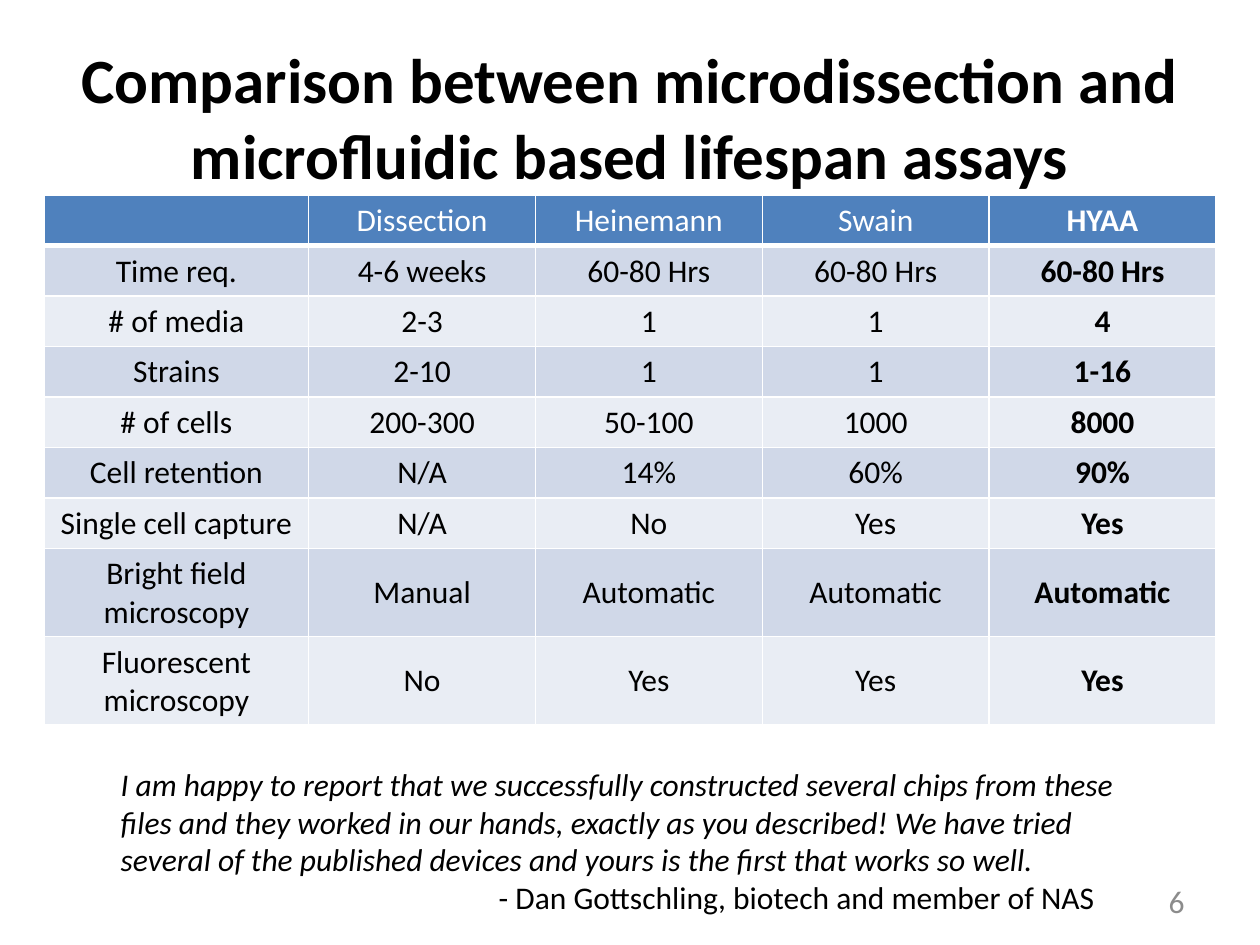
"""Build a slide comparing lifespan assays in a table, with a quotation below."""
from lxml import etree
from pptx import Presentation, util as u
from pptx.dml.color import RGBColor
from pptx.enum import text
from pptx.oxml import ns

COLORS = {
    "black": "000000",
    "white": "FFFFFF",
    "gray": "8C8C8C",
    "header": "4F81BD",
    "dark_band": "D0D8E8",
    "light_band": "E9EDF4",
}
ROWS = [
    ["", "Dissection", "Heinemann", "Swain", "HYAA"],
    ["Time req.", "4-6 weeks", "60-80 Hrs", "60-80 Hrs", "60-80 Hrs"],
    ["# of media", "2-3", "1", "1", "4"],
    ["Strains", "2-10", "1", "1", "1-16"],
    ["# of cells", "200-300", "50-100", "1000", "8000"],
    ["Cell retention", "N/A", "14%", "60%", "90%"],
    ["Single cell capture", "N/A", "No", "Yes", "Yes"],
    ["Bright field microscopy", "Manual", "Automatic", "Automatic", "Automatic"],
    ["Fluorescent microscopy", "No", "Yes", "Yes", "Yes"],
]
COLUMN_WIDTHS = [2.1] + [1.8] * 4
QUOTE = (
    "I am happy to report that we successfully constructed several chips from these "
    "files and they worked in our hands, exactly as you described! We have tried "
    "several of the published devices and yours is the first that works so well."
)


def write(para, words, size=18, color="black", bold=False, italic=False, align="LEFT"):
    para.alignment = getattr(text.PP_ALIGN, align)
    span = para.add_run()
    span.text = words
    span.font.name = "Calibri"
    span.font.size = u.Pt(size)
    span.font.bold = bold
    span.font.italic = italic
    span.font.color.rgb = RGBColor.from_string(COLORS[color])


def add_box(page, left, top, width, height, anchor="MIDDLE"):
    box = page.shapes.add_textbox(*map(u.Inches, (left, top, width, height)))
    box.text_frame.word_wrap = True
    box.text_frame.vertical_anchor = getattr(text.MSO_ANCHOR, anchor)
    return box.text_frame


deck = Presentation()
deck.slide_width, deck.slide_height = u.Inches(10), u.Inches(7.5)
page = deck.slides.add_slide(deck.slide_layouts[6])

title = add_box(page, 0.5, 0.3, 9, 1.25)
write(title.paragraphs[0],
      "Comparison between microdissection and microfluidic based lifespan assays",
      size=36, bold=True, align="CENTER")

row_height = u.Inches(0.4)
table = page.shapes.add_table(
    len(ROWS), len(COLUMN_WIDTHS), u.Inches(0.35), u.Inches(1.55),
    u.Inches(sum(COLUMN_WIDTHS)), row_height * len(ROWS)).table
for column, width in zip(table.columns, COLUMN_WIDTHS):
    column.width = u.Inches(width)

for row_index, row in enumerate(ROWS):
    table.rows[row_index].height = row_height
    is_header = row_index == 0
    band = "header" if is_header else "dark_band" if row_index % 2 else "light_band"
    for column_index, words in enumerate(row):
        cell = table.cell(row_index, column_index)
        properties = cell._tc.get_or_add_tcPr()
        for side in "LRTB":
            points = 3 if is_header and side == "B" else 1
            border = etree.SubElement(properties, ns.qn(f"a:ln{side}"), w=str(u.Pt(points)))
            fill = etree.SubElement(border, ns.qn("a:solidFill"))
            etree.SubElement(fill, ns.qn("a:srgbClr"), val=COLORS["white"])
        cell.fill.solid()
        cell.fill.fore_color.rgb = RGBColor.from_string(COLORS[band])
        if row_index >= len(ROWS) - 2:
            cell.vertical_anchor = text.MSO_ANCHOR.MIDDLE
        if words:
            write(cell.text_frame.paragraphs[0], words, align="CENTER",
                  color="white" if is_header else "black",
                  bold=column_index == len(row) - 1)

page_number = add_box(page, 7.17, 6.95, 2.33, 0.4)
write(page_number.paragraphs[0], "6", color="gray", align="RIGHT")

quotation = add_box(page, 0.86, 6.02, 8.29, 1.31, anchor="TOP")
write(quotation.paragraphs[0], QUOTE, italic=True)
credit = quotation.add_paragraph()
write(credit, "- Dan Gottschling, biotech and member of NAS")
credit._p.get_or_add_pPr().set("marL", str(u.Inches(3)))

deck.save("out.pptx")
